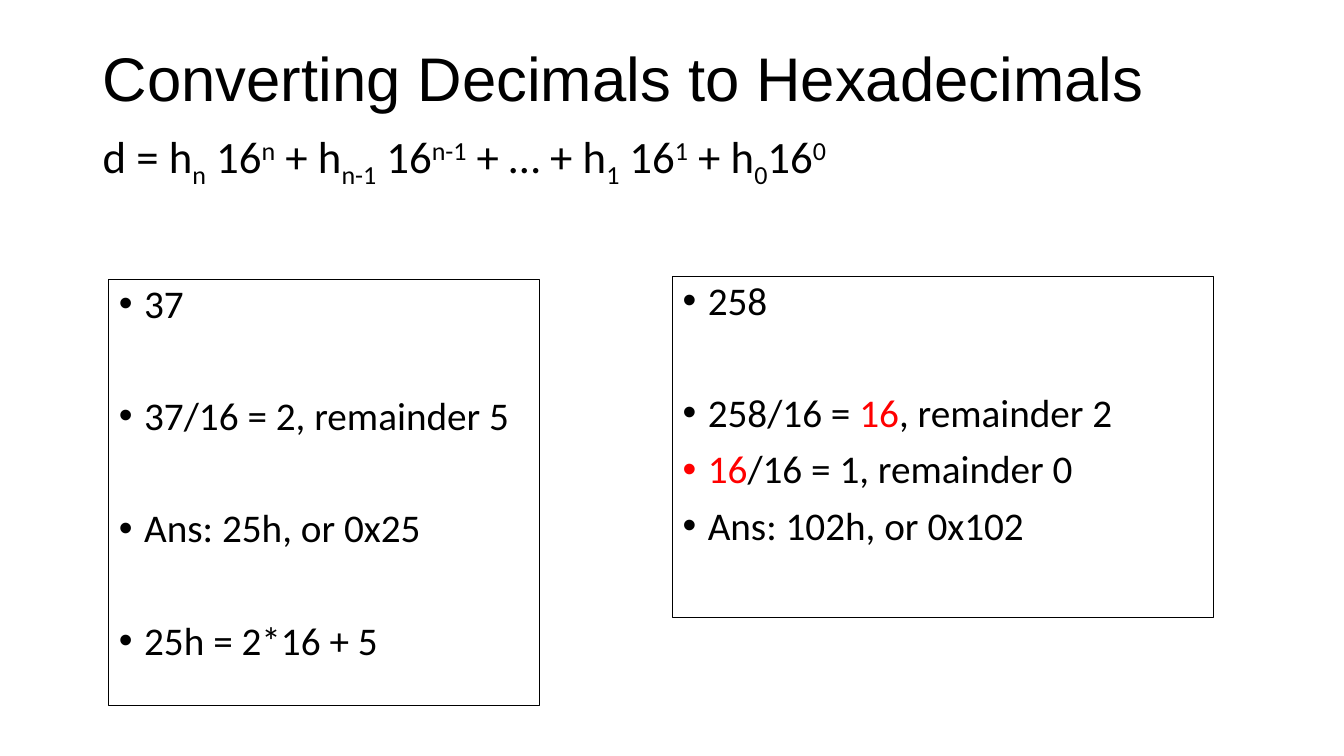
from pptx import Presentation
from pptx.dml.color import RGBColor
from pptx.enum.text import MSO_ANCHOR, MSO_AUTO_SIZE, PP_ALIGN
from pptx.util import Inches, Pt

BLACK = RGBColor(0x00, 0x00, 0x00)
RED = RGBColor(0xFF, 0x00, 0x00)
LEFT = PP_ALIGN.LEFT
MIDDLE, TOP = MSO_ANCHOR.MIDDLE, MSO_ANCHOR.TOP
NO_FIT = MSO_AUTO_SIZE.NONE
GROW = MSO_AUTO_SIZE.SHAPE_TO_FIT_TEXT
SUB, SUP = -25000, 30000


def place(shape, left, top, width, height, fit=NO_FIT, anchor=TOP):
    shape.left, shape.top = Inches(left), Inches(top)
    shape.width, shape.height = Inches(width), Inches(height)
    frame = shape.text_frame
    frame.word_wrap = True
    frame.auto_size = fit
    frame.vertical_anchor = anchor
    return frame


def write(para, text, size, font="Calibri", color=BLACK, base=0):
    para.alignment = LEFT
    run = para.add_run()
    run.text = text
    run.font.size = Pt(size)
    run.font.name = font
    run.font.color.rgb = color
    if base:
        run.font._element.set("baseline", str(base))


deck = Presentation()
deck.slide_width, deck.slide_height = Inches(13.33), Inches(7.5)
slide = deck.slides.add_slide(deck.slide_layouts[3])
title, left_list, right_list = slide.placeholders

# Title, raised above the formula by its bottom margin
frame = place(title, 0.92, 0.4, 11.5, 1.45, anchor=MIDDLE)
frame.margin_bottom = Inches(0.68)
para = frame.paragraphs[0]
para.line_spacing = 0.9
write(para, "Converting Decimals to Hexadecimals", 44, font="Arial")

# Worked examples: each line is its space before and its coloured parts
NEAR, FAR = 10, 50
examples = [
    (right_list, (6.67, 2.74, 5.37, 3.39), [
        (NEAR, [("258", BLACK)]),
        (FAR, [("258/16 = ", BLACK), ("16", RED), (", remainder 2", BLACK)]),
        (NEAR, [("16", RED), ("/16 = 1, remainder 0", BLACK)]),
        (NEAR, [("Ans: 102h, or 0x102", BLACK)]),
    ]),
    (left_list, (1.08, 2.77, 4.27, 4.23), [
        (NEAR, [("37", BLACK)]),
        (FAR, [("37/16 = 2, remainder 5", BLACK)]),
        (FAR, [("Ans: 25h, or 0x25", BLACK)]),
        (FAR, [("25h = 2*16 + 5", BLACK)]),
    ]),
]
for shape, box, lines in examples:
    frame = place(shape, *box)
    shape.line.color.rgb = BLACK
    shape.line.width = Pt(0.75)
    for i, (gap, parts) in enumerate(lines):
        para = frame.add_paragraph() if i else frame.paragraphs[0]
        para.line_spacing = 0.9
        para.space_before = Pt(gap)
        props = para._p.get_or_add_pPr()
        props.set("marL", str(Inches(0.25)))
        props.set("indent", str(Inches(-0.25)))
        for text, color in parts:
            write(para, text, 28, color=color)

# Formula: every term is a digit h with a subscript, then 16 with a power
box = slide.shapes.add_textbox(0, 0, 0, 0)
para = place(box, 0.92, 1.23, 9.22, 0.64, fit=GROW).paragraphs[0]
terms = [
    ("d = h", "n", " 16"),
    (" + h", "n-1", " 16"),
    (" + … + h", "1", " 16"),
    (" + h", "0", "16"),
]
for lead, index, power in terms:
    write(para, lead, 32)
    write(para, index, 32, base=SUB)
    write(para, power, 32)
    write(para, index, 32, base=SUP)

deck.save("out.pptx")
